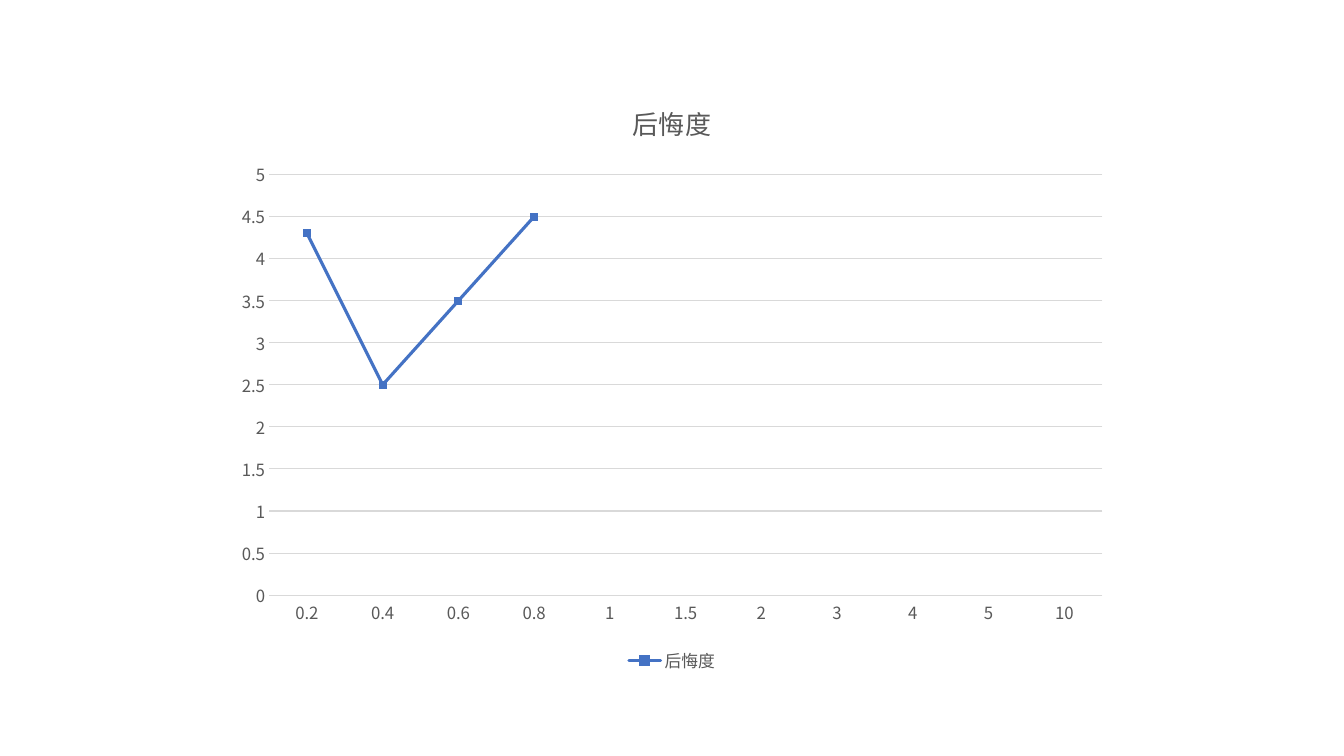
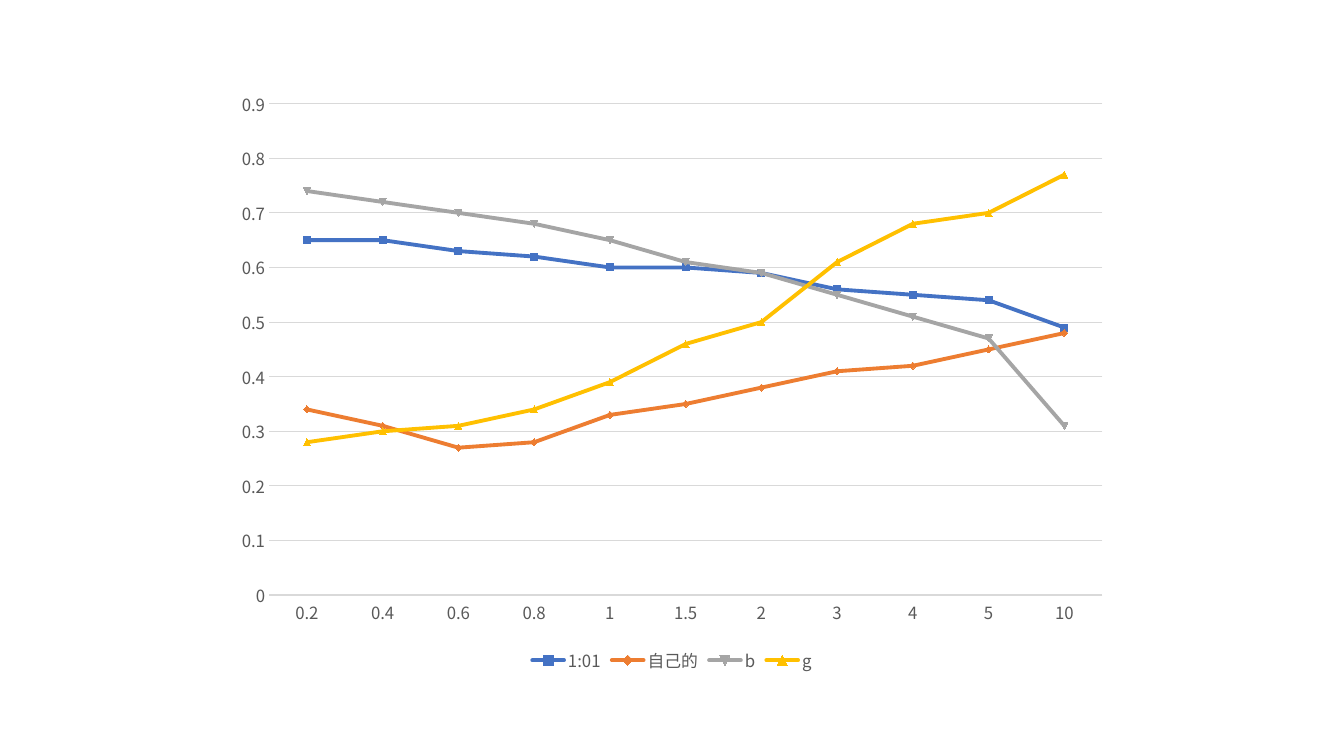
from dataclasses import dataclass

from lxml.etree import Element
from pptx import Presentation
from pptx.chart.data import CategoryChartData
from pptx.dml.color import RGBColor as RGB
from pptx.enum.chart import XL_CHART_TYPE as ChartType
from pptx.enum.chart import XL_LEGEND_POSITION as LegendPos
from pptx.enum.chart import XL_TICK_MARK as Tick
from pptx.oxml.ns import qn
from pptx.util import Inches, Pt


@dataclass(frozen=True)
class Theme:
    font: str = "Noto Sans CJK SC"
    text: str = "595959"
    grid: str = "D9D9D9"
    accents: tuple = ("4472C4", "ED7D31", "A5A5A5", "FFC000")
    title_size: float = 18.6
    label_size: float = 12
    grid_width: float = 0.75


THEME = Theme()
WIDTH, HEIGHT = Inches(13.33), Inches(7.5)
CHART_W, CHART_H = Inches(8.89), Inches(5.93)

CATEGORIES = ["0.2", "0.4", "0.6", "0.8", "1", "1.5", "2", "3", "4", "5", "10"]
CHARTS = [
    {
        "title": "后悔度",
        "top": 5, "step": 0.5, "line": 2.25, "axis_line": 0.75,
        "series": {"后悔度": [4.3, 2.5, 3.5, 4.5] + [None] * 7},
    },
    {
        "title": None,
        "top": 0.9, "step": 0.1, "line": 2.75, "axis_line": 1,
        "series": {
            "1:01": [0.65, 0.65, 0.63, 0.62, 0.6, 0.6, 0.59, 0.56, 0.55, 0.54, 0.49],
            "自己的": [0.34, 0.31, 0.27, 0.28, 0.33, 0.35, 0.38, 0.41, 0.42, 0.45, 0.48],
            "b": [0.74, 0.72, 0.7, 0.68, 0.65, 0.61, 0.59, 0.55, 0.51, 0.47, 0.31],
            "g": [0.28, 0.3, 0.31, 0.34, 0.39, 0.46, 0.5, 0.61, 0.68, 0.7, 0.77],
        },
    },
]


def set_attrs(obj, **values):
    for name, value in values.items():
        setattr(obj, name, value)


def style_font(font, size):
    set_attrs(font, name=THEME.font, size=Pt(size), bold=False)
    font.color.rgb = RGB.from_string(THEME.text)


def style_line(line, color, width):
    line.color.rgb = RGB.from_string(color)
    line.width = Pt(width)


def style_axes(chart, spec):
    cat, val = chart.category_axis, chart.value_axis
    for axis in (cat, val):
        set_attrs(axis, major_tick_mark=Tick.NONE, minor_tick_mark=Tick.NONE)
        style_font(axis.tick_labels.font, THEME.label_size)
    style_line(cat.format.line, THEME.grid, spec["axis_line"])
    set_attrs(val, minimum_scale=0, maximum_scale=spec["top"],
              major_unit=spec["step"], has_major_gridlines=True)
    set_attrs(val.tick_labels, number_format="General", number_format_is_linked=False)
    val.format.line.fill.background()
    style_line(val.major_gridlines.format.line, THEME.grid, THEME.grid_width)


def style_title(chart, title):
    chart.has_title = title is not None
    if title:
        tf = chart.chart_title.text_frame
        tf.text = title
        style_font(tf.paragraphs[0].runs[0].font, THEME.title_size)
        chart.chart_title.include_in_layout = False


def style_legend(chart):
    chart.has_legend = True
    set_attrs(chart.legend, position=LegendPos.BOTTOM, include_in_layout=False)
    style_font(chart.legend.font, THEME.label_size)


def style_series(chart, width):
    for series, color in zip(chart.plots[0].series, THEME.accents):
        series.smooth = False
        series.marker.style = None
        style_line(series.format.line, color, width)
        ln = series.format.line._get_or_add_ln()
        ln.set("cap", "rnd")


def add_east_asian_font(chart):
    """Give every font setting in the chart the same face for Chinese text."""
    for latin in list(chart._chartSpace.iter(qn("a:latin"))):
        latin.addnext(Element(qn("a:ea"), typeface=THEME.font))


def add_line_chart(slide, spec):
    data = CategoryChartData()
    data.categories = CATEGORIES
    for name, values in spec["series"].items():
        data.add_series(name, values)
    left, top = (WIDTH - CHART_W) // 2, (HEIGHT - CHART_H) // 2
    chart = slide.shapes.add_chart(
        ChartType.LINE, left, top, CHART_W, CHART_H, data).chart
    chart.plots[0].vary_by_categories = False
    style_title(chart, spec["title"])
    style_axes(chart, spec)
    style_legend(chart)
    style_series(chart, spec["line"])
    add_east_asian_font(chart)


def main():
    prs = Presentation()
    set_attrs(prs, slide_width=WIDTH, slide_height=HEIGHT)
    for spec in CHARTS:
        add_line_chart(prs.slides.add_slide(prs.slide_layouts[6]), spec)
    prs.save("out.pptx")


if __name__ == "__main__":
    main()
